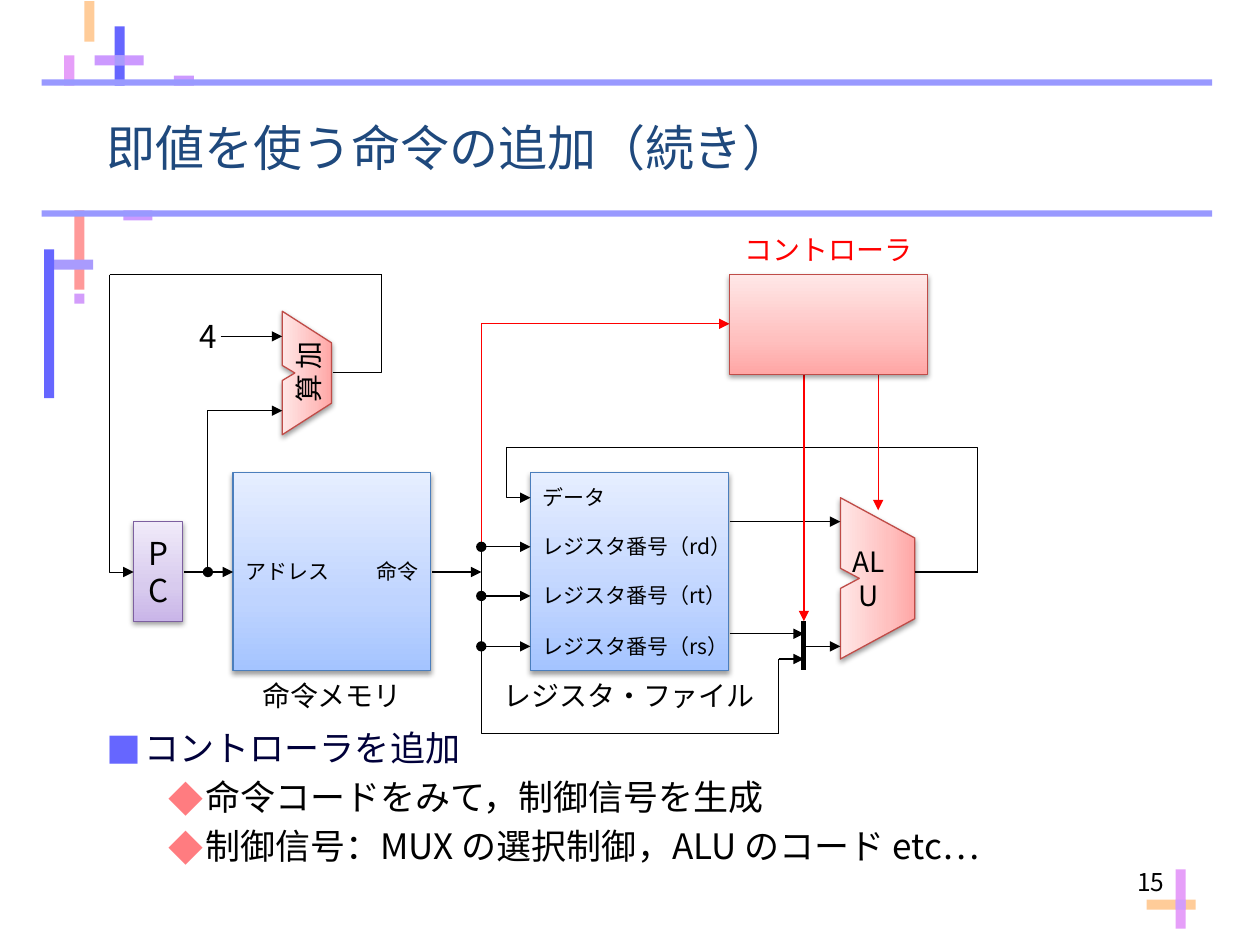
from lxml.etree import SubElement
from pptx import Presentation
from pptx.dml.color import RGBColor
from pptx.enum.shapes import MSO_CONNECTOR, MSO_SHAPE
from pptx.enum.text import MSO_ANCHOR, MSO_AUTO_SIZE, PP_ALIGN
from pptx.oxml.ns import qn
from pptx.util import Inches, Pt

FONT = "Noto Sans CJK JP"
BLACK, RED = "000000", "FF0000"
# Gradient stops from dark to light, then the outline
BLUE_STYLE = ("A4C4FF", "BFD4FF", "E6EEFF", "4B7EBC")
RED_STYLE = ("FFA6A5", "FFC0BF", "FFE7E7", "BF4C48")
PURPLE_STYLE = ("C9B5E8", "D8CBEE", "F0EAF9", "7D60A0")


def color(value):
    """Turn a hex string into a colour."""
    return RGBColor.from_string(value)


def add_child(parent, tag, **attributes):
    """Append a DrawingML element and return it."""
    return SubElement(parent, qn(tag), {k: str(v) for k, v in attributes.items()})


def write(paragraph, text, size=16, fill=BLACK, align=PP_ALIGN.LEFT):
    """Write one formatted run into a paragraph."""
    paragraph.alignment = align
    run = paragraph.add_run()
    run.text = text
    run.font.size = Pt(size)
    run.font.name = FONT
    run.font.color.rgb = color(fill)
    add_child(run.font._element, "a:ea", typeface=FONT)


class Diagram:
    """Draws the elements of the slide in one style."""

    def __init__(self, slide):
        """Keep the slide to draw on."""
        self.shapes = slide.shapes

    def bar(self, left, top, width, height, fill):
        """Draw a plain decorative bar."""
        shape = self.shapes.add_shape(
            MSO_SHAPE.RECTANGLE, *map(Inches, (left, top, width, height)))
        shape.shadow.inherit = False
        shape.fill.solid()
        shape.fill.fore_color.rgb = color(fill)
        shape.line.fill.background()

    def finish_block(self, shape, style):
        """Give a block its gradient, outline and soft shadow."""
        shape.fill.gradient()
        shape.fill.gradient_angle = 90
        stops = shape._element.spPr.find(".//" + qn("a:gsLst"))
        for stop in list(stops):
            stops.remove(stop)
        for position, value in zip((0, 35000, 100000), style):
            add_child(add_child(stops, "a:gs", pos=position), "a:srgbClr", val=value)
        shape.line.color.rgb = color(style[3])
        shape.line.width = Pt(0.75)
        shape.shadow.inherit = False
        effects = shape._element.spPr.find(qn("a:effectLst"))
        shadow = add_child(effects, "a:outerShdw", blurRad=Pt(3.1), dist=Pt(1.6),
                           dir=5400000, rotWithShape=0)
        add_child(add_child(shadow, "a:srgbClr", val=BLACK), "a:alpha", val=38000)

    def block(self, left, top, width, height, style, text="", size=18):
        """Draw a rectangular unit of the processor."""
        shape = self.shapes.add_shape(
            MSO_SHAPE.RECTANGLE, *map(Inches, (left, top, width, height)))
        self.finish_block(shape, style)
        if text:
            write(shape.text_frame.paragraphs[0], text, size=size, align=PP_ALIGN.CENTER)

    def outline(self, points, close):
        """Build a freeform through points."""
        points = [(Inches(x), Inches(y)) for x, y in points]
        builder = self.shapes.build_freeform(*points[0])
        builder.add_line_segments(points[1:], close=close)
        return builder.convert_to_shape()

    def arithmetic_unit(self, left, top, width, height, corner, notch, text):
        """Draw a notched trapezoid, laid out flat and then turned upright."""
        center_x, center_y = left + width / 2, top + height / 2
        half, depth = height / 2, width / 2
        gap, tip = notch
        flat = [(half, -depth), (half - corner, depth), (corner - half, depth),
                (-half, -depth), (-gap, -depth), (0, tip - depth), (gap, -depth)]
        shape = self.outline([(center_x + x, center_y + y) for x, y in flat], True)
        shape.rotation = 270
        self.finish_block(shape, RED_STYLE)
        frame = shape.text_frame
        frame.vertical_anchor = MSO_ANCHOR.MIDDLE
        frame._txBody.bodyPr.set("vert", "eaVert")
        write(frame.paragraphs[0], text, align=PP_ALIGN.CENTER)

    def finish_wire(self, shape, stroke, width, head, tail):
        """Set the stroke and line ends of a wire."""
        shape.line.color.rgb = color(stroke)
        shape.line.width = Pt(width)
        line = shape._element.spPr.find(qn("a:ln"))
        for tag, kind in (("a:headEnd", head), ("a:tailEnd", tail)):
            if kind:
                add_child(line, tag, type=kind)

    def wire(self, start, end, stroke=BLACK, width=0.75, head=None, tail="triangle"):
        """Draw a straight wire."""
        connector = self.shapes.add_connector(
            MSO_CONNECTOR.STRAIGHT, *map(Inches, (*start, *end)))
        self.finish_wire(connector, stroke, width, head, tail)
        add_child(connector._element.spPr, "a:effectLst")

    def bent_wire(self, *points, stroke=BLACK, head=None, tail=None):
        """Draw a wire with corners."""
        shape = self.outline(points, False)
        shape.fill.background()
        shape.shadow.inherit = False
        self.finish_wire(shape, stroke, 0.5, head, tail)

    def text_box(self, left, top, width, height, anchor=MSO_ANCHOR.TOP,
                 wrap=True, margins=(0.1, 0.05)):
        """Add an empty text box and return its frame."""
        frame = self.shapes.add_textbox(
            *map(Inches, (left, top, width, height))).text_frame
        frame.word_wrap = wrap
        frame.auto_size = MSO_AUTO_SIZE.NONE
        frame.vertical_anchor = anchor
        frame.margin_left = frame.margin_right = Inches(margins[0])
        frame.margin_top = frame.margin_bottom = Inches(margins[1])
        return frame

    def label(self, left, top, text, width=0.39, margin=0.0, **text_format):
        """Add a one-line label, centred in height."""
        frame = self.text_box(left, top, width, 0.39, MSO_ANCHOR.MIDDLE, False, (margin, 0))
        write(frame.paragraphs[0], text, **text_format)

    def bullet(self, paragraph, text, level, mark, mark_color, indent, hanging, fill):
        """Write a bulleted line."""
        paragraph.level = level
        paragraph.space_before = Pt(4)
        write(paragraph, text, size=20, fill=fill)
        properties = paragraph._p.get_or_add_pPr()
        properties.set("marL", str(Inches(indent)))
        properties.set("indent", str(-Inches(hanging)))
        add_child(add_child(properties, "a:buClr"), "a:srgbClr", val=mark_color)
        add_child(properties, "a:buFont", typeface=FONT)
        add_child(properties, "a:buChar", char=mark)


presentation = Presentation()
presentation.slide_width, presentation.slide_height = Inches(10), Inches(7.5)
diagram = Diagram(presentation.slides.add_slide(presentation.slide_layouts[6]))

for bar in [
    (0.91, 0.21, 0.08, 0.47, "6666FF"), (1.38, 0.6, 0.16, 0.08, "CC99FF"),
    (0.75, 0.44, 0.39, 0.08, "CC99FF"), (0.91, 0.44, 0.08, 0.08, "A99BFD"),
    (0.67, 0.01, 0.08, 0.32, "FFCC99"), (0.51, 0.44, 0.08, 0.24, "E69FF9"),
    (0.98, 1.67, 0.23, 0.08, "CC99FF"), (0.59, 1.67, 0.08, 0.63, "FF9999"),
    (0.43, 2.06, 0.31, 0.08, "A99BFD"), (0.59, 2.33, 0.08, 0.08, "D39DFB"),
    (0.35, 1.98, 0.08, 1.18, "6666FF"), (9.1, 7.14, 0.39, 0.08, "FFCC99"),
    (9.33, 6.9, 0.08, 0.47, "E69FF9"), (9.33, 7.14, 0.08, 0.08, "D39DFB"),
    (0.33, 1.67, 9.29, 0.05, "9999FF"), (0.33, 0.63, 9.29, 0.05, "9999FF"),
]:
    diagram.bar(*bar)

title = diagram.text_box(0.75, 0.67, 8.5, 1, MSO_ANCHOR.MIDDLE)
write(title.paragraphs[0], "即値を使う命令の追加（続き）", size=28, fill="1F497D")
page_number = diagram.text_box(7.92, 6.83, 1.42, 0.44)
write(page_number.paragraphs[0], "15", size=14, align=PP_ALIGN.RIGHT)

for left in (1.85, 4.21):
    diagram.block(left, 3.75, 1.57, 1.57, BLUE_STYLE)
diagram.block(1.06, 4.14, 0.39, 0.79, PURPLE_STYLE, "PC")
diagram.arithmetic_unit(6.67, 3.95, 0.59, 1.28, 0.32, (0.08, 0.15), "ALU")
diagram.arithmetic_unit(2.24, 2.47, 0.39, 0.98, 0.25, (0.06, 0.1), "加算")

# Program counter and its increment
diagram.wire((1.46, 4.54), (1.85, 4.54))
diagram.bent_wire((1.65, 4.54), (1.65, 3.26), (2.24, 3.26), head="oval", tail="triangle")
diagram.wire((1.75, 2.67), (2.24, 2.67))
diagram.bent_wire((0.87, 2.18), (0.87, 4.54), (1.06, 4.54), tail="triangle")
diagram.bent_wire((2.64, 2.96), (3.03, 2.96), (3.03, 2.18))
diagram.wire((0.87, 2.18), (3.03, 2.18), tail=None)

# Instruction fields, register file and write-back
diagram.wire((3.43, 4.54), (3.82, 4.54))
diagram.bent_wire((3.82, 4.34), (3.82, 2.57), (5.79, 2.57), stroke=RED, tail="triangle")
diagram.bent_wire((3.82, 4.34), (3.82, 5.82), (6.18, 5.82))
for register, y in (("rd", 4.34), ("rt", 4.73), ("rs", 5.13)):
    diagram.wire((3.82, y), (4.21, y), head="oval")
    diagram.label(4.21, y - 0.2, f"レジスタ番号（{register}）", margin=0.1, size=12)
diagram.bent_wire((4.02, 3.55), (4.02, 3.95), (4.21, 3.95), tail="triangle")
diagram.bent_wire((7.76, 4.54), (7.76, 3.55), (4.02, 3.55))
diagram.wire((7.26, 4.54), (7.76, 4.54), tail=None)

# Operand selection
diagram.wire((6.18, 5.82), (6.18, 5.23), tail=None)
diagram.wire((6.38, 4.93), (6.38, 5.32), width=3, tail=None)
for start, end in [((5.79, 4.14), (6.67, 4.14)), ((5.79, 5.03), (6.38, 5.03)),
                   ((6.38, 5.13), (6.67, 5.13)), ((6.18, 5.23), (6.38, 5.23))]:
    diagram.wire(start, end)

# Controller and its signals
for x, y in ((6.38, 4.93), (6.97, 4.05)):
    diagram.wire((x, 2.96), (x, y), stroke=RED)
diagram.block(5.79, 2.18, 1.57, 0.79, RED_STYLE)

diagram.label(1.46, 2.47, "4", size=18, align=PP_ALIGN.CENTER)
diagram.label(1.85, 4.34, "アドレス", margin=0.1, size=12)
diagram.label(3.03, 4.34, "命令", margin=0.1, size=12, align=PP_ALIGN.RIGHT)
diagram.label(4.21, 3.75, "データ", margin=0.1, size=12)
for left, top, text, fill in [(1.85, 5.32, "命令メモリ", BLACK),
                              (4.21, 5.32, "レジスタ・ファイル", BLACK),
                              (5.79, 1.78, "コントローラ", RED)]:
    diagram.label(left, top, text, width=1.57, fill=fill, align=PP_ALIGN.CENTER)

body = diagram.text_box(0.75, 5.72, 8.97, 1.67)
diagram.bullet(body.paragraphs[0], "コントローラを追加", 0, "■", "6666FF", 0.3, 0.3, "00003A")
for text in ("命令コードをみて，制御信号を生成", "制御信号：MUX の選択制御，ALU のコード etc…"):
    diagram.bullet(body.add_paragraph(), text, 1, "◆", "FF7C80", 0.78, 0.29, BLACK)

presentation.save("out.pptx")
